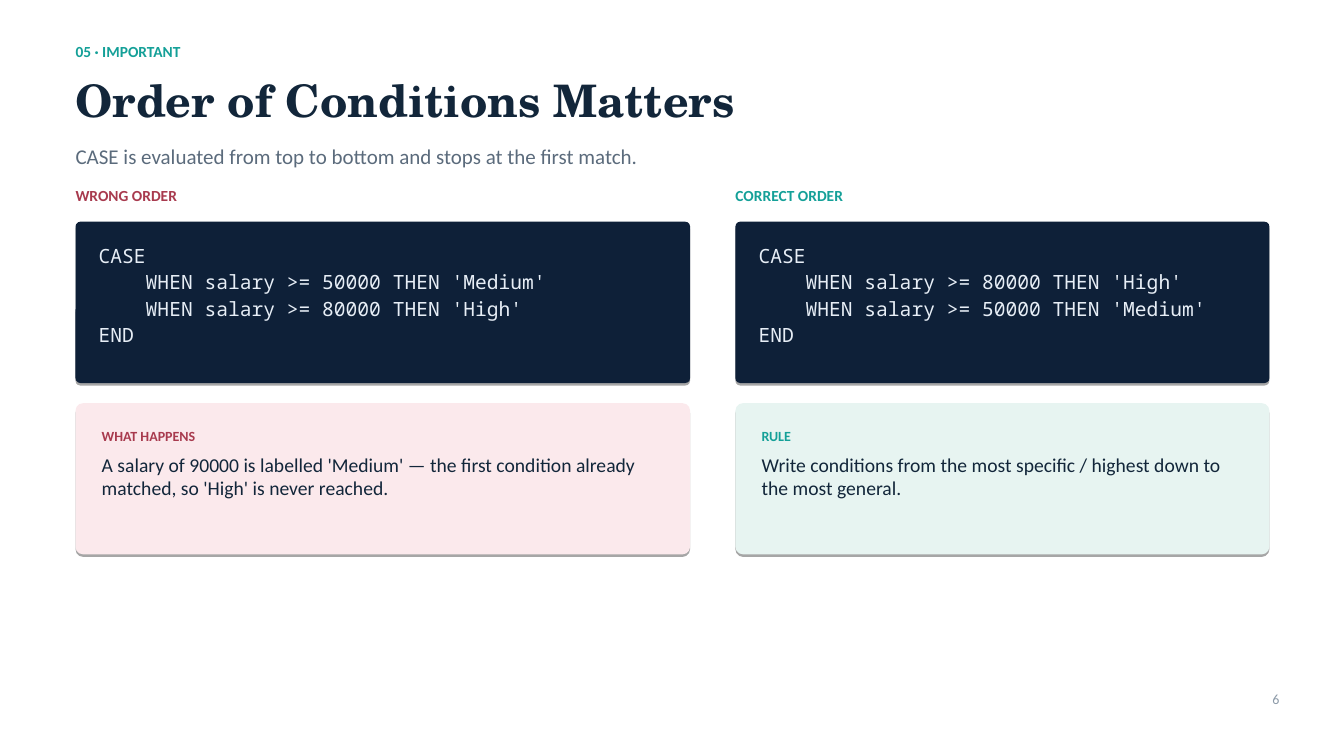
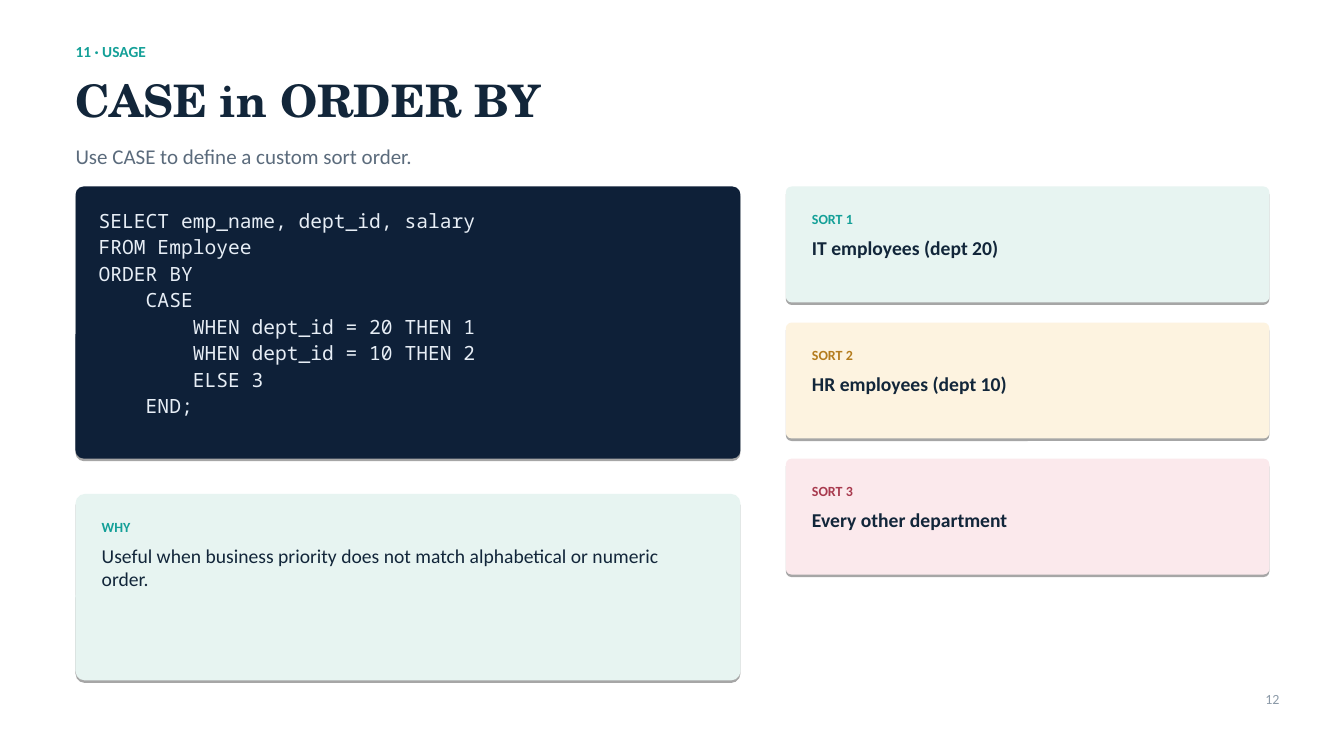
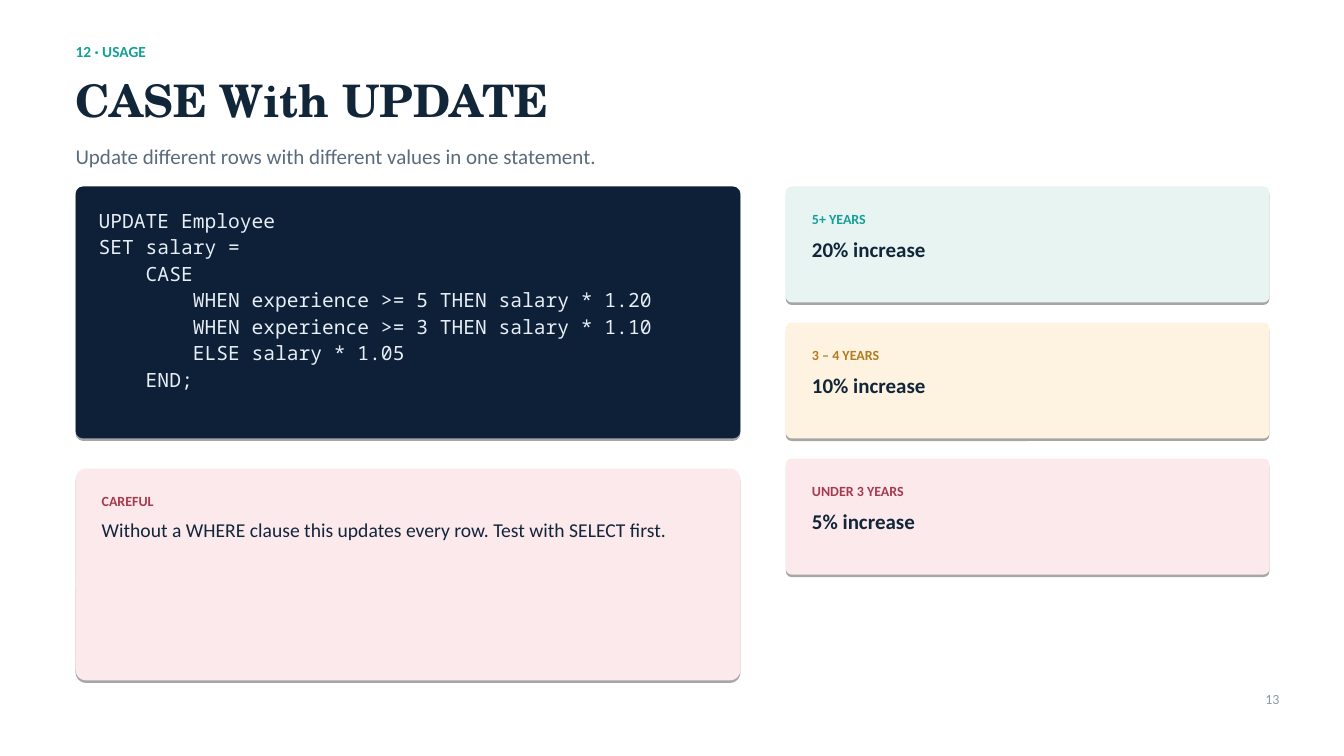
from lxml.etree import SubElement
from pptx import Presentation
from pptx.dml.color import RGBColor
from pptx.enum.shapes import MSO_SHAPE
from pptx.enum.text import MSO_AUTO_SIZE, PP_ALIGN
from pptx.oxml.ns import qn
from pptx.util import Inches, Pt

CELL = 0.05
LEFT, RIGHT, GAP, TOP = 15, 252, 9, 37
SANS, MONO, SERIF = "Calibri", "Noto Sans Mono", "TeX Gyre Schola"
INK, NAVY, PALE, GREY, MUTED = "12263A", "0E2038", "E7EEF6", "5B6B7C", "8C9AA8"
TEAL = ("14A098", "E7F4F1")
GOLD = ("B47C1E", "FDF3E0")
ROSE = ("A83A4E", "FBE9EC")


def color(code):
    return RGBColor.from_string(code)


def grid(*cells):
    return [Inches(round(cell * CELL, 2)) for cell in cells]


def write(slide, box, lines, pad=(0, 0), after=0, align=PP_ALIGN.LEFT):
    area = slide.shapes.add_textbox(*grid(*box))
    frame = area.text_frame
    frame.word_wrap = True
    frame.auto_size = MSO_AUTO_SIZE.SHAPE_TO_FIT_TEXT
    frame.margin_left = frame.margin_right = Inches(pad[0])
    frame.margin_top = frame.margin_bottom = Inches(pad[1])
    for spot, (text, size, face, tint, bold) in enumerate(lines):
        para = frame.add_paragraph() if spot else frame.paragraphs[0]
        para.text = text
        para.alignment = align
        para.space_after = Pt(after)
        font = para.font
        font.size, font.name, font.bold = Pt(size), face, bold
        font.color.rgb = color(tint)


def panel(slide, box, fill, curve):
    shape = slide.shapes.add_shape(MSO_SHAPE.ROUNDED_RECTANGLE, *grid(*box))
    shape.adjustments[0] = curve
    shape.fill.solid()
    shape.fill.fore_color.rgb = color(fill)
    shape.line.fill.background()
    shape.shadow.inherit = False
    effects = shape._element.spPr.find(qn("a:effectLst"))
    shade = SubElement(effects, qn("a:outerShdw"), blurRad="0",
                       dist=str(Pt(1.8)), dir="5400000", rotWithShape="0")
    tint = SubElement(shade, qn("a:srgbClr"), val="000000")
    SubElement(tint, qn("a:alpha"), val="35000")


def code(slide, box, text):
    left, top, width, height = box
    panel(slide, box, NAVY, 0.03)
    rows = text.split("\n")
    write(slide, (left + 1, top + 2, width - 4, 4.2 + 5.3 * len(rows)),
          [(row, 14, MONO, PALE, False) for row in rows], (0.18, 0.12), 2.1)


def card(slide, box, tone, label, text, size=14, bold=False):
    left, top, width, height = box
    panel(slide, box, tone[1], 0.05)
    write(slide, (left + 1.6, top + 2.4, width - 6, 14.6),
          [(label, 10, SANS, tone[0], True), (text, size, SANS, INK, bold)],
          (0.18, 0.12), 6.1)


def base(deck, tag, title, lead, page):
    slide = deck.slides.add_slide(deck.slide_layouts[6])
    write(slide, (LEFT, 8.4, 238, 3.6), [(tag, 11, SANS, TEAL[0], True)])
    write(slide, (LEFT, 14.4, 238, 10.6), [(title, 32, SERIF, INK, True)])
    write(slide, (LEFT, 28.4, 220, 5), [(lead, 15, SANS, GREY, False)])
    write(slide, (244, 137, 10, 3.4), [(page, 10, SANS, MUTED, False)],
          align=PP_ALIGN.RIGHT)
    return slide


def split(wide):
    start = LEFT + wide + GAP
    return (LEFT, wide), (start, RIGHT - start)


def versus(slide, sides):
    for (left, width), (tone, head, text, label, note) in zip(split(122), sides):
        write(slide, (left, TOP, width, 3.6), [(head, 11, SANS, tone[0], True)])
        code(slide, (left, TOP + 7, width, 32), text)
        card(slide, (left, TOP + 43, width, 30), tone, label, note)


def usage(slide, text, tall, gap, note, steps, size):
    (left, wide), (start, slim) = split(132)
    code(slide, (left, TOP, wide, tall), text)
    for row, (tone, (label, result)) in enumerate(zip((TEAL, GOLD, ROSE), steps)):
        card(slide, (start, TOP + 27 * row, slim, 23), tone, label, result, size, True)
    low = TOP + tall + gap
    card(slide, (left, low, wide, 135 - low), *note)


def main():
    deck = Presentation()
    deck.slide_width, deck.slide_height = Inches(13.34), Inches(7.5)

    order = base(deck, "05 · IMPORTANT", "Order of Conditions Matters",
                 "CASE is evaluated from top to bottom and stops at the first match.", "6")
    mid = "    WHEN salary >= 50000 THEN 'Medium'"
    high = "    WHEN salary >= 80000 THEN 'High'"
    versus(order, [
        (ROSE, "WRONG ORDER", "\n".join(["CASE", mid, high, "END"]), "WHAT HAPPENS",
         "A salary of 90000 is labelled 'Medium' — the first condition already "
         "matched, so 'High' is never reached."),
        (TEAL, "CORRECT ORDER", "\n".join(["CASE", high, mid, "END"]), "RULE",
         "Write conditions from the most specific / highest down to the most general."),
    ])

    sort = base(deck, "11 · USAGE", "CASE in ORDER BY",
                "Use CASE to define a custom sort order.", "12")
    usage(sort, """SELECT emp_name, dept_id, salary
FROM Employee
ORDER BY
    CASE
        WHEN dept_id = 20 THEN 1
        WHEN dept_id = 10 THEN 2
        ELSE 3
    END;""", 54, 7,
          (TEAL, "WHY", "Useful when business priority does not match "
           "alphabetical or numeric order."),
          [("SORT 1", "IT employees (dept 20)"),
           ("SORT 2", "HR employees (dept 10)"),
           ("SORT 3", "Every other department")], 14)

    raises = base(deck, "12 · USAGE", "CASE With UPDATE",
                  "Update different rows with different values in one statement.", "13")
    usage(raises, """UPDATE Employee
SET salary =
    CASE
        WHEN experience >= 5 THEN salary * 1.20
        WHEN experience >= 3 THEN salary * 1.10
        ELSE salary * 1.05
    END;""", 50, 6,
          (ROSE, "CAREFUL", "Without a WHERE clause this updates every row. "
           "Test with SELECT first."),
          [("5+ YEARS", "20% increase"),
           ("3 – 4 YEARS", "10% increase"),
           ("UNDER 3 YEARS", "5% increase")], 15)

    deck.save("out.pptx")


if __name__ == "__main__":
    main()
